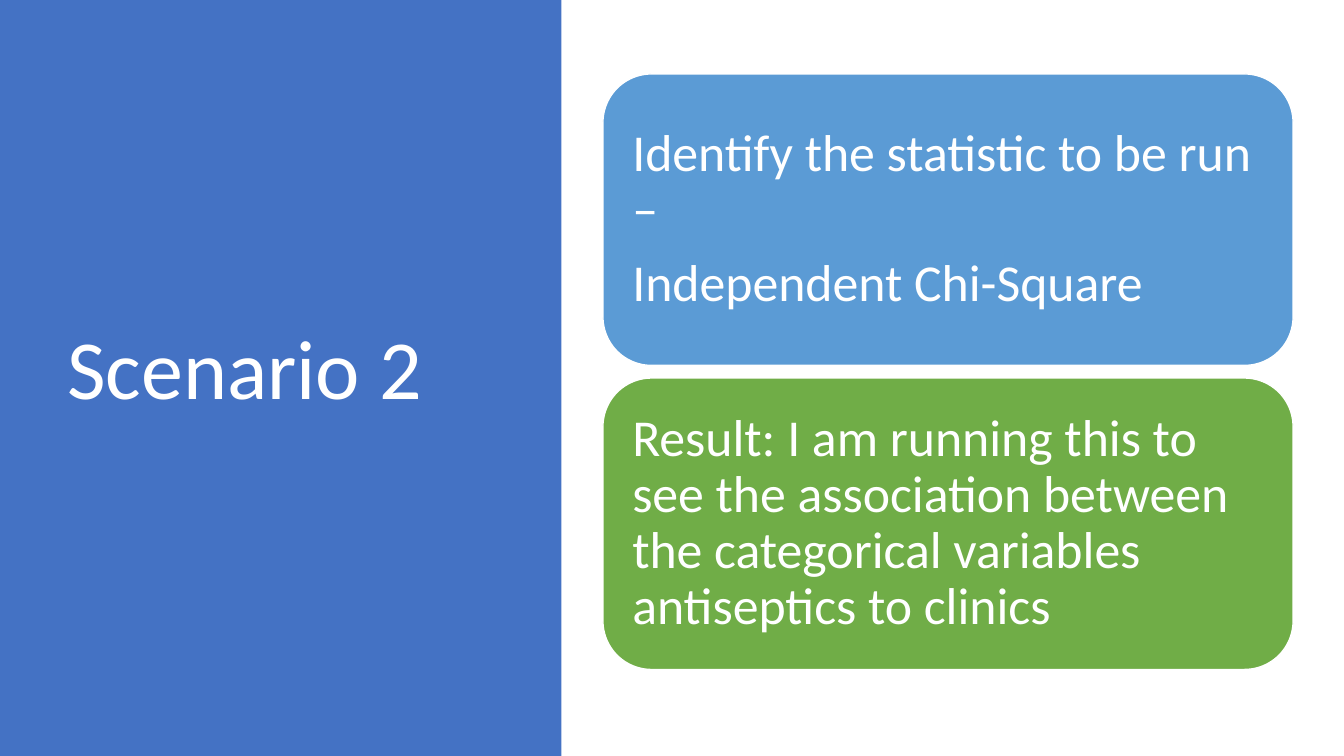
"""Build the Scenario 2 slide: a title panel beside two stacked cards."""
from dataclasses import dataclass

from pptx import Presentation
from pptx.dml.color import RGBColor as Rgb
from pptx.enum.shapes import MSO_SHAPE as Shape
from pptx.enum.text import MSO_ANCHOR as Anchor, PP_ALIGN as Align
from pptx.util import Pt


@dataclass(frozen=True)
class Theme:
    font: str = "Calibri"
    white: Rgb = Rgb(0xFF, 0xFF, 0xFF)
    panel: Rgb = Rgb(0x44, 0x72, 0xC4)
    statistic: Rgb = Rgb(0x5B, 0x9B, 0xD5)
    result: Rgb = Rgb(0x70, 0xAD, 0x47)
    title_size: Pt = Pt(60)
    card_size: Pt = Pt(37)


theme = Theme()


def write(frame, lines, size, space_after, margins):
    """Fill a text frame with left-aligned white paragraphs."""
    frame_format = {"word_wrap": True, "vertical_anchor": Anchor.MIDDLE, **margins}
    for key, value in frame_format.items():
        setattr(frame, key, value)
    frame.text = "\n".join(lines)
    paragraph_format = {"alignment": Align.LEFT, "line_spacing": 0.9,
                        "space_after": space_after}
    for paragraph in frame.paragraphs:
        for key, value in paragraph_format.items():
            setattr(paragraph, key, value)
        for key, value in {"name": theme.font, "size": size}.items():
            setattr(paragraph.font, key, value)
        paragraph.font.color.rgb = theme.white


deck = Presentation()
deck.slide_width, deck.slide_height = Pt(960), Pt(540)
slide = deck.slides.add_slide(deck.slide_layouts[6])

panel = slide.shapes.add_shape(Shape.RECTANGLE, 0, 0, Pt(401), deck.slide_height)
panel.shadow.inherit = False
panel.fill.solid()
panel.fill.fore_color.rgb = theme.panel
panel.line.fill.background()

title = slide.shapes.add_textbox(Pt(41), Pt(49), Pt(299.5), Pt(433.5))
write(title.text_frame, ["Scenario 2"], theme.title_size, Pt(0), {})

cards = [
    (theme.statistic, ["Identify the statistic to be run –", "Independent Chi-Square"]),
    (theme.result, ["Result: I am running this to see the association between "
                    "the categorical variables antiseptics to clinics"]),
]
card_top, card_height, card_gap = 52.8, 208.2, 9
card_margins = {f"margin_{side}": Pt(10.8) for side in ("left", "top", "right", "bottom")}

for row, (color, lines) in enumerate(cards):
    top = card_top + row * (card_height + card_gap)
    card = slide.shapes.add_shape(
        Shape.ROUNDED_RECTANGLE, Pt(430.7), Pt(top), Pt(493), Pt(card_height))
    card.shadow.inherit = False
    card.fill.solid()
    card.fill.fore_color.rgb = color
    card.line.color.rgb = theme.white
    card.line.width = Pt(1)
    write(card.text_frame, lines, theme.card_size, Pt(13), card_margins)

deck.save("out.pptx")
